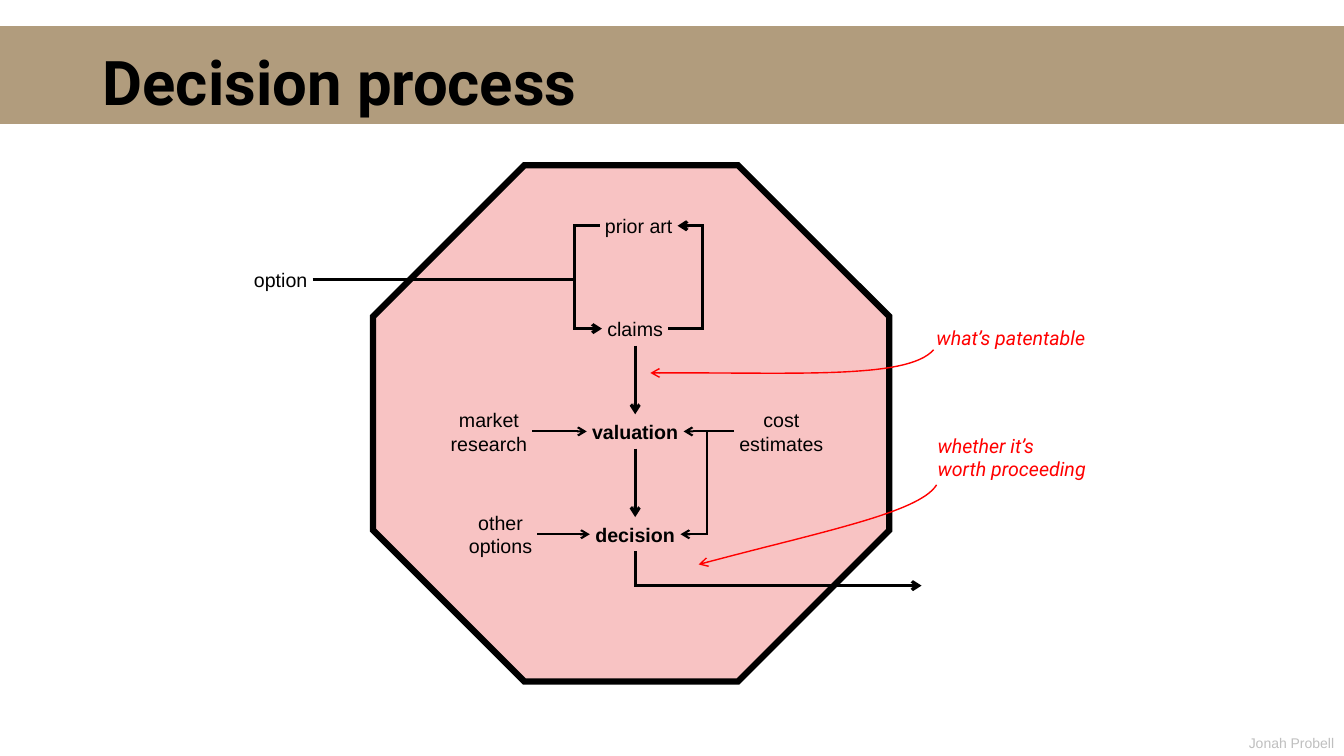
from copy import deepcopy

from pptx import Presentation
from pptx.dml.color import RGBColor
from pptx.enum.shapes import MSO_CONNECTOR, MSO_SHAPE
from pptx.enum.text import MSO_ANCHOR, MSO_AUTO_SIZE, PP_ALIGN
from pptx.oxml.ns import qn
from pptx.util import Pt
from lxml import etree

PX = 9144  # 100 px to the inch
BLACK = RGBColor(0x00, 0x00, 0x00)
RED = RGBColor(0xFF, 0x00, 0x00)
TAN = RGBColor(0xB1, 0x9C, 0x7D)
CRIMSON = RGBColor(0xE7, 0x13, 0x13)
GREY = RGBColor(0xBF, 0xBF, 0xBF)
LEFT, CENTER, RIGHT = PP_ALIGN.LEFT, PP_ALIGN.CENTER, PP_ALIGN.RIGHT
MIDDLE, BOTTOM = MSO_ANCHOR.MIDDLE, MSO_ANCHOR.BOTTOM
STRAIGHT, ELBOW = MSO_CONNECTOR.STRAIGHT, MSO_CONNECTOR.ELBOW
TOP_SIDE, LEFT_SIDE, BOTTOM_SIDE, RIGHT_SIDE = range(4)


def px(*lengths):
    return [round(n * PX) for n in lengths]


def add_text(s, box, text, size=14, font="Arial", color=BLACK, bold=False, italic=False,
             align=CENTER, anchor=MIDDLE, inset=5, wrap=False, spacing=None):
    """Place a text box; a vertical tab in the text is a line break."""
    sp = s.shapes.add_textbox(*px(*box))
    tf = sp.text_frame
    tf.word_wrap = wrap
    tf.auto_size = MSO_AUTO_SIZE.NONE if wrap else MSO_AUTO_SIZE.SHAPE_TO_FIT_TEXT
    tf.vertical_anchor = anchor
    tf.margin_left, tf.margin_right = px(inset, inset)
    tf.margin_top, tf.margin_bottom = px(5, 5)
    tf.text = text
    for p in tf.paragraphs:
        p.alignment = align
        p.line_spacing = spacing
        for r in p.runs:
            r.font.name, r.font.size = font, Pt(size)
            r.font.bold, r.font.italic = bold, italic
            r.font.color.rgb = color
        for br in p._p.findall(qn("a:br")):
            br.append(deepcopy(p.runs[0]._r.rPr))
    return sp


def add_block(s, kind, box, fill):
    sp = s.shapes.add_shape(kind, *px(*box))
    sp.shadow.inherit = False
    sp.fill.solid()
    sp.fill.fore_color.rgb = fill
    sp.line.fill.background()
    return sp


def style_line(shape, color, weight, arrow=True):
    shape.line.color.rgb = color
    shape.line.width = Pt(weight)
    ln = shape.line._get_or_add_ln()
    etree.SubElement(ln, qn("a:miter"), lim="800000")
    if arrow:
        etree.SubElement(ln, qn("a:tailEnd"), type="arrow")


def add_line(s, kind, start, end, weight, arrow=True):
    c = s.shapes.add_connector(kind, *px(*start, *end))
    style_line(c, BLACK, weight, arrow)
    etree.SubElement(c._element.spPr, qn("a:effectLst"))
    return c


def join(s, a, a_side, b, b_side, weight):
    c = add_line(s, STRAIGHT, (0, 0), (1, 1), weight)
    c.begin_connect(a, a_side)
    c.end_connect(b, b_side)


def add_elbow(s, start, end, bend_x, weight):
    """Run level to bend_x, then upright, then level to the end."""
    c = add_line(s, ELBOW, start, end, weight)
    adj = round((bend_x - start[0]) / (end[0] - start[0]) * 100000)
    av = c._element.spPr.find(qn("a:prstGeom")).get_or_add_avLst()
    etree.SubElement(av, qn("a:gd"), name="adj1", fmla=f"val {adj}")


def add_curve(s, *knots, steps=32):
    """Draw a red arrow along the cubic curve of four knots."""
    points = []
    for i in range(steps + 1):
        t = i / steps
        weights = ((1 - t) ** 3, 3 * t * (1 - t) ** 2, 3 * t * t * (1 - t), t ** 3)
        points.append(px(*(sum(w * k[axis] for w, k in zip(weights, knots))
                           for axis in (0, 1))))
    fb = s.shapes.build_freeform(*points[0])
    fb.add_line_segments(points[1:], close=False)
    sp = fb.convert_to_shape()
    sp.shadow.inherit = False
    sp.fill.background()
    style_line(sp, RED, 1)


def add_header(s, x, y, w, h):
    add_block(s, MSO_SHAPE.RECTANGLE, (x, y, w, h), TAN)
    add_text(s, (x + 92, y - 13, w - 183, h + 13), "Decision process", size=44, font="Roboto",
             bold=True, align=LEFT, anchor=BOTTOM, inset=10, wrap=True, spacing=0.9)


def add_process(s, x, y, size):
    # Octagon
    octagon = add_block(s, MSO_SHAPE.OCTAGON, (x, y, size, size), CRIMSON)
    color = octagon._element.spPr.find(qn("a:solidFill"))[0]
    etree.SubElement(color, qn("a:alpha"), val="25000")
    style_line(octagon, BLACK, 4.5, arrow=False)

    def at(dx, dy):
        return x + dx, y + dy

    def label(dx, dy, w, h, text, **fmt):
        return add_text(s, (*at(dx, dy), w, h), text, **fmt)

    # Steps
    label(223, 43, 81, 34, "prior art")
    claims = label(227, 145, 66, 34, "claims")
    valuation = label(212, 247, 96, 34, "valuation", bold=True)
    decision = label(215, 349, 90, 34, "decision", bold=True)

    # Inputs
    option = label(-127, 96, 67, 34, "option", align=RIGHT)
    market = label(72, 235, 86, 58, "market\nresearch")
    cost = label(358, 235, 94, 58, "cost\vestimates")
    other = label(90, 337, 73, 58, "other\voptions")

    # Straight arrows
    join(s, claims, BOTTOM_SIDE, valuation, TOP_SIDE, 2.25)
    join(s, valuation, BOTTOM_SIDE, decision, TOP_SIDE, 2.25)
    join(s, market, RIGHT_SIDE, valuation, LEFT_SIDE, 1.5)
    join(s, cost, LEFT_SIDE, valuation, RIGHT_SIDE, 1.5)
    join(s, other, RIGHT_SIDE, decision, LEFT_SIDE, 1.5)
    entry = add_line(s, STRAIGHT, at(-60, 113), at(199, 113), 2.25, arrow=False)
    entry.begin_connect(option, RIGHT_SIDE)

    # Bent arrows: the search loop, cost to decision, and the way out
    for start, end, bend, weight in (
        ((293, 162), (302, 60), 327, 2.25),
        ((225, 60), (227, 162), 200, 2.25),
        ((358, 264), (305, 366), 331, 1.5),
        ((260, 383), (544, 417), 260, 2.25),
    ):
        add_elbow(s, at(*start), at(*end), x + bend, weight)


def add_remarks(s, x, y):
    remark = dict(font="Roboto", color=RED, italic=True, align=LEFT, anchor=BOTTOM, inset=10)
    add_text(s, (x, y, 196, 34), "what’s patentable", **remark)
    add_text(s, (x + 1, y + 107, 195, 57), "whether it’s\vworth proceeding", **remark)
    add_curve(s, (x + 7, y + 29), (x - 19, y + 59), (x - 135, y + 51), (x - 274, y + 52))
    add_curve(s, (x + 10, y + 163), (x - 7, y + 191), (x - 107, y + 210), (x - 226, y + 242))


def main():
    prs = Presentation()
    prs.slide_width, prs.slide_height = px(1333, 750)
    s = prs.slides.add_slide(prs.slide_layouts[6])
    add_text(s, (1228, 723, 105, 27), "Jonah Probell", size=10, color=GREY,
             align=RIGHT, anchor=BOTTOM, inset=10)
    add_header(s, 0, 26, 1333, 97)
    add_process(s, 370, 164, 512)
    add_remarks(s, 919, 318)
    prs.save("out.pptx")


if __name__ == "__main__":
    main()
